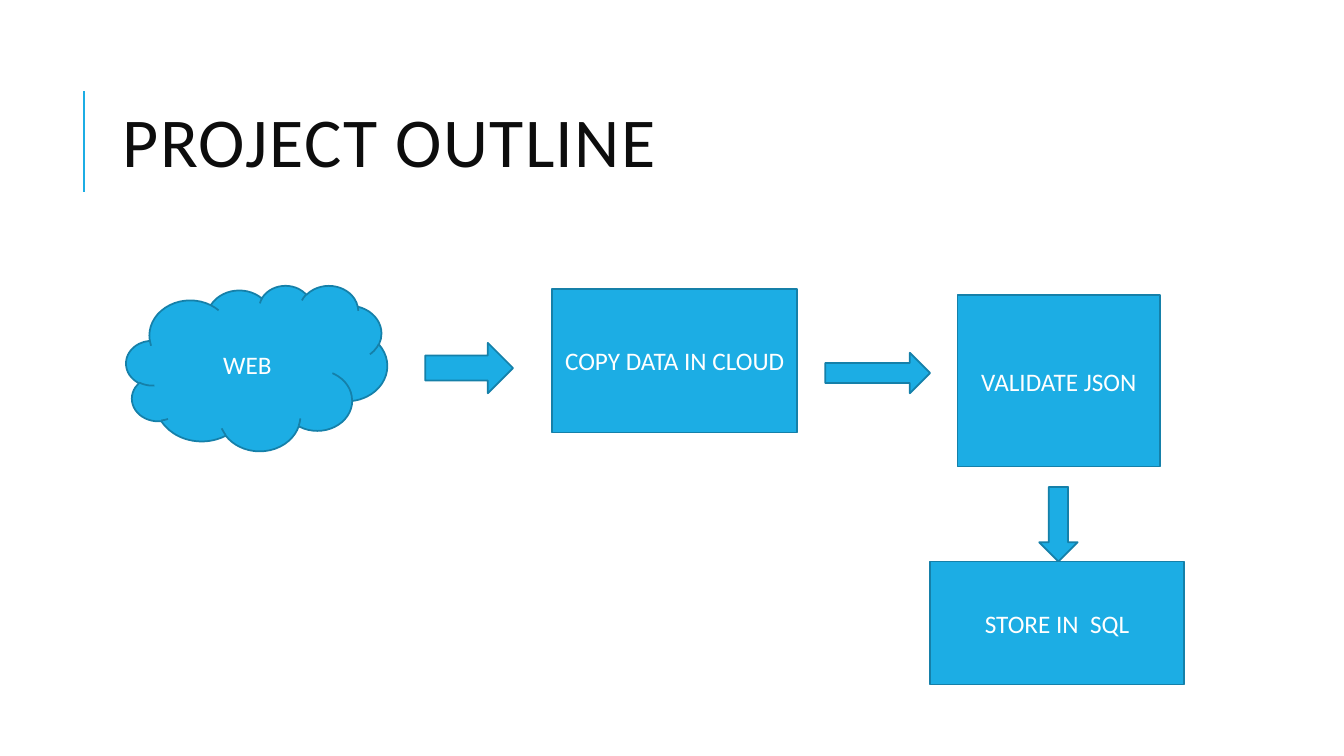
from dataclasses import dataclass

from lxml.etree import SubElement
from pptx import Presentation
from pptx.dml.color import RGBColor
from pptx.enum.shapes import MSO_CONNECTOR, MSO_SHAPE
from pptx.enum.text import MSO_ANCHOR, MSO_AUTO_SIZE, PP_ALIGN
from pptx.oxml.ns import qn
from pptx.slide import Slide
from pptx.text.text import Font
from pptx.util import Cm, Pt

ACCENT = "1CADE4"
OUTLINE = "1580A9"
TITLE_COLOUR = "0D0D0D"
WHITE = "FFFFFF"


@dataclass(frozen=True)
class FlowPart:
    """A step or block arrow of the flow, measured in centimetres."""

    kind: MSO_SHAPE
    left: float
    top: float
    width: float
    height: float
    label: str = ""


FLOW = [
    FlowPart(MSO_SHAPE.CLOUD, 3.18, 7.19, 6.58, 4.17, "WEB"),
    FlowPart(MSO_SHAPE.RIGHT_ARROW, 10.72, 8.64, 2.21, 1.27),
    FlowPart(MSO_SHAPE.RECTANGLE, 13.92, 7.29, 6.17, 3.61, "COPY DATA IN CLOUD"),
    FlowPart(MSO_SHAPE.RIGHT_ARROW, 20.8, 8.89, 2.64, 1.02),
    FlowPart(MSO_SHAPE.RECTANGLE, 24.13, 7.44, 5.11, 4.32, "VALIDATE JSON"),
    FlowPart(MSO_SHAPE.DOWN_ARROW, 26.19, 12.27, 0.97, 1.88),
    FlowPart(MSO_SHAPE.RECTANGLE, 23.44, 14.15, 6.4, 3.1, "STORE IN  SQL"),
]


def colour(value: str) -> RGBColor:
    return RGBColor.from_string(value)


def format_font(font: Font, size: float, value: str) -> None:
    font.name = "Calibri"
    font.size = Pt(size)
    font.color.rgb = colour(value)


def add_heading(slide: Slide, text: str) -> None:
    heading = slide.shapes.title
    heading.left, heading.top = Cm(2.84), Cm(1.63)
    heading.width, heading.height = Cm(27), Cm(4.17)
    frame = heading.text_frame
    frame.text = text
    frame.word_wrap = True
    frame.auto_size = MSO_AUTO_SIZE.NONE
    frame.vertical_anchor = MSO_ANCHOR.MIDDLE
    paragraph = frame.paragraphs[0]
    paragraph.alignment = PP_ALIGN.LEFT
    paragraph.line_spacing = 0.8
    run = paragraph.runs[0]
    format_font(run.font, 50, TITLE_COLOUR)
    run._r.get_or_add_rPr().set("spc", "100")


def add_heading_rule(slide: Slide) -> None:
    rule = slide.shapes.add_connector(
        MSO_CONNECTOR.STRAIGHT, Cm(2.11), Cm(4.83), Cm(2.11), Cm(2.29)
    )
    rule.line.color.rgb = colour(ACCENT)
    rule.line.width = Pt(1.5)
    SubElement(rule._element.spPr, qn("a:effectLst"))


def add_flow_part(slide: Slide, part: FlowPart) -> None:
    shape = slide.shapes.add_shape(
        part.kind, Cm(part.left), Cm(part.top), Cm(part.width), Cm(part.height)
    )
    shape.shadow.inherit = False
    shape.fill.solid()
    shape.fill.fore_color.rgb = colour(ACCENT)
    shape.line.color.rgb = colour(OUTLINE)
    shape.line.width = Pt(1.25)
    if part.label:
        frame = shape.text_frame
        frame.text = part.label
        frame.word_wrap = True
        frame.vertical_anchor = MSO_ANCHOR.MIDDLE
        paragraph = frame.paragraphs[0]
        paragraph.alignment = PP_ALIGN.CENTER
        format_font(paragraph.runs[0].font, 18, WHITE)


def main() -> None:
    presentation = Presentation()
    presentation.slide_width = Cm(33.87)
    presentation.slide_height = Cm(19.05)
    slide = presentation.slides.add_slide(presentation.slide_layouts[5])
    slide.background.fill.solid()
    slide.background.fill.fore_color.rgb = colour(WHITE)
    add_heading_rule(slide)
    add_heading(slide, "PROJECT OUTLINE")
    for part in FLOW:
        add_flow_part(slide, part)
    presentation.save("out.pptx")


if __name__ == "__main__":
    main()
